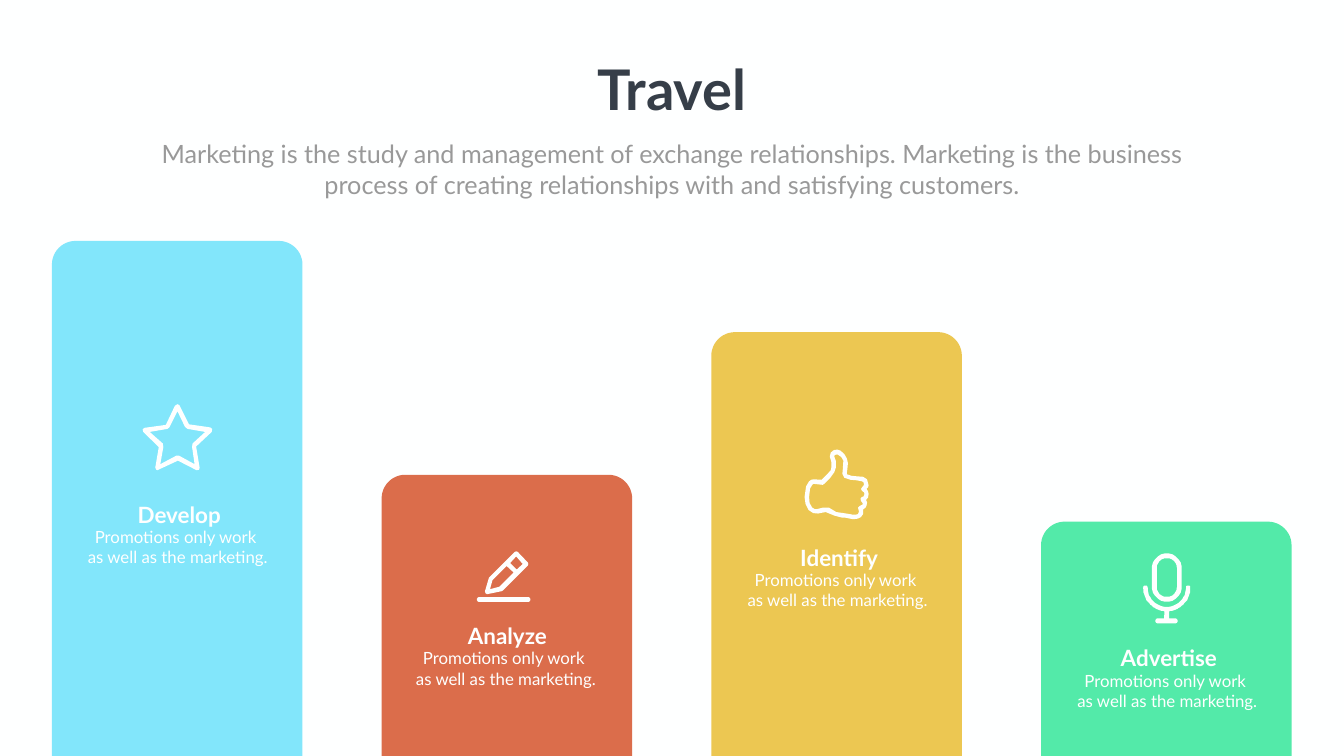
from math import cos, radians, sin

from pptx import Presentation, util as u
from pptx.dml.color import RGBColor
from pptx.enum import shapes, text

WHITE = RGBColor(0xFE, 0xFF, 0xFF)
DARK = RGBColor(0x36, 0x3E, 0x48)
GREY = RGBColor(0x99, 0x99, 0x99)
BLUE = RGBColor(0x82, 0xE6, 0xFB)
RED = RGBColor(0xDB, 0x6D, 0x4B)
GOLD = RGBColor(0xEC, 0xC7, 0x52)
GREEN = RGBColor(0x53, 0xEA, 0xA9)

WIDTH, HEIGHT = 26.66, 15
LEFT, PITCH, BAR, RADIUS = 1.03, 6.54, 4.97, 0.47
FONT = "Lato"
UNIT = u.Inches(0.01)


def arc(x, y, r, start, end, steps=24):
    turns = [radians(start + (end - start) * i / steps) for i in range(steps + 1)]
    return [(x + r * cos(t), y + r * sin(t)) for t in turns]


def pill(x, top, low, r):
    return arc(x, top, r, 180, 360) + arc(x, low, r, 0, 180)


STAR = [[
    [(30, 131), (28, 130), (26, 126), (33, 85), (2, 55), (1, 50), (4, 47),
     (47, 41), (65, 3), (70, 0), (74, 2), (93, 40), (135, 46), (139, 49),
     (138, 55), (107, 84), (114, 126), (113, 130), (108, 131), (71, 112)],
    [(15, 55), (41, 78), (42, 85), (36, 119), (68, 102), (73, 102),
     (104, 119), (99, 85), (100, 78), (125, 55), (90, 49), (85, 45),
     (70, 14), (54, 46), (50, 49)],
]]
PENCIL = [
    [
        [(20, 85), (49, 79), (51, 78), (101, 28), (102, 25), (101, 22),
         (81, 1), (78, 0), (75, 1), (24, 52), (16, 79), (17, 83)],
        [(78, 10), (91, 25), (79, 36), (66, 23)],
        [(31, 57), (59, 29), (73, 42), (45, 70), (26, 75)],
    ],
    [arc(4.5, 95.5, 4.5, 90, 270) + arc(101.5, 95.5, 4.5, 270, 450)],
]
THUMB = [[
    [(98, 138), (95, 138), (80, 135), (74, 135), (59, 131), (42, 124),
     (31, 126), (27, 127), (17, 126), (8, 120), (2, 108), (0, 94), (3, 73),
     (9, 63), (13, 60), (18, 59), (34, 60), (44, 50), (52, 41), (53, 36),
     (53, 24), (51, 17), (50, 14), (52, 6), (58, 1), (65, 0), (71, 2),
     (79, 9), (84, 18), (86, 27), (85, 38), (84, 45), (84, 49), (93, 52),
     (103, 53), (116, 54), (124, 59), (127, 71), (126, 75), (123, 78),
     (126, 83), (127, 88), (126, 95), (122, 100), (124, 105), (123, 111),
     (121, 115), (116, 119), (116, 128), (112, 134), (106, 137)],
    [(77, 126), (83, 127), (95, 129), (102, 129), (106, 128), (108, 123),
     (107, 119), (106, 115), (109, 112), (115, 109), (115, 106), (112, 102),
     (111, 97), (114, 94), (117, 93), (119, 88), (118, 85), (114, 82),
     (112, 78), (114, 75), (118, 70), (117, 65), (114, 63), (103, 61),
     (91, 60), (79, 56), (75, 48), (76, 37), (77, 22), (73, 15), (66, 10),
     (62, 10), (59, 12), (59, 14), (62, 22), (62, 36), (59, 45), (51, 56),
     (39, 68), (36, 70), (18, 68), (16, 69), (11, 77), (9, 94), (10, 106),
     (15, 115), (20, 118), (25, 118), (37, 115), (48, 115), (63, 124)],
]]
STAND = (
    arc(90, 68, 4.5, 360, 180) + arc(47.5, 68, 38, 0, 180)
    + arc(5, 68, 4.5, 360, 180) + arc(47.5, 68, 47, 180, 96)
    + [(42, 129)] + arc(30, 134, 5, 270, 90)
    + arc(64, 134, 5, 90, -90) + [(52, 129)] + arc(47.5, 68, 47, 84, 0)
)
MIC = [
    [pill(47.5, 29.5, 66.5, 29.5), pill(47.5, 29.5, 66.5, 20)],
    [STAND],
]

TITLE = "Travel"
INTRO = ("Marketing is the study and management of exchange relationships. "
         "Marketing is the business process of creating relationships with "
         "and satisfying customers.")
NOTE = ["Promotions only work ", "as well as the marketing."]
BARS = [
    ("Develop", BLUE, 4.78, (2.3, 9.89), STAR, (2.82, 8.02)),
    ("Analyze", RED, 9.42, (8.81, 12.3), PENCIL, (9.46, 10.94)),
    ("Identify", GOLD, 6.59, (15.39, 10.74), THUMB, (15.96, 8.92)),
    ("Advertise", GREEN, 10.35, (21.93, 12.74), MIC, (22.67, 10.98)),
]


def paint(shape, color):
    shape.fill.solid()
    shape.fill.fore_color.rgb = color
    shape.line.fill.background()
    shape.shadow.inherit = False


def draw(slide, icon, x, y):
    for part in icon:
        first, *rest = part
        pen = slide.shapes.build_freeform(*first[0], scale=UNIT)
        pen.add_line_segments(first[1:], close=True)
        for ring in rest:
            pen.move_to(*ring[0])
            pen.add_line_segments(ring[1:], close=True)
        paint(pen.convert_to_shape(u.Inches(x), u.Inches(y)), WHITE)


def write(slide, box, lines, size, color, bold=False, wrap=True):
    frame = slide.shapes.add_textbox(*map(u.Inches, box)).text_frame
    frame.word_wrap = wrap
    frame.text = "\n".join(lines)
    for para in frame.paragraphs:
        para.alignment = text.PP_ALIGN.CENTER
        for run in para.runs:
            run.font.name = FONT
            run.font.size = u.Pt(size)
            run.font.bold = bold
            run.font.color.rgb = color


def main():
    deck = Presentation()
    deck.slide_width, deck.slide_height = u.Inches(WIDTH), u.Inches(HEIGHT)
    slide = deck.slides.add_slide(deck.slide_layouts[6])
    slide.background.fill.solid()
    slide.background.fill.fore_color.rgb = WHITE

    for i, (name, color, top, (x, y), icon, spot) in enumerate(BARS):
        box = LEFT + i * PITCH, top, BAR, HEIGHT - top
        bar = slide.shapes.add_shape(
            shapes.MSO_SHAPE.ROUND_2_SAME_RECTANGLE, *map(u.Inches, box))
        bar.adjustments[0] = RADIUS / min(BAR, HEIGHT - top)
        paint(bar, color)
        draw(slide, icon, *spot)
        write(slide, (x, y, 2.51, 0.64), [name], 32, WHITE, bold=True)
        write(slide, (x - 0.71, y + 0.51, 3.87, 0.91), NOTE, 24, WHITE)

    write(slide, (11.65, 1.04, 3.36, 1.45), [TITLE], 80, DARK, bold=True, wrap=False)
    write(slide, (2.68, 2.7, 21.3, 1.31), [INTRO], 36, GREY)
    deck.save("out.pptx")


if __name__ == "__main__":
    main()
